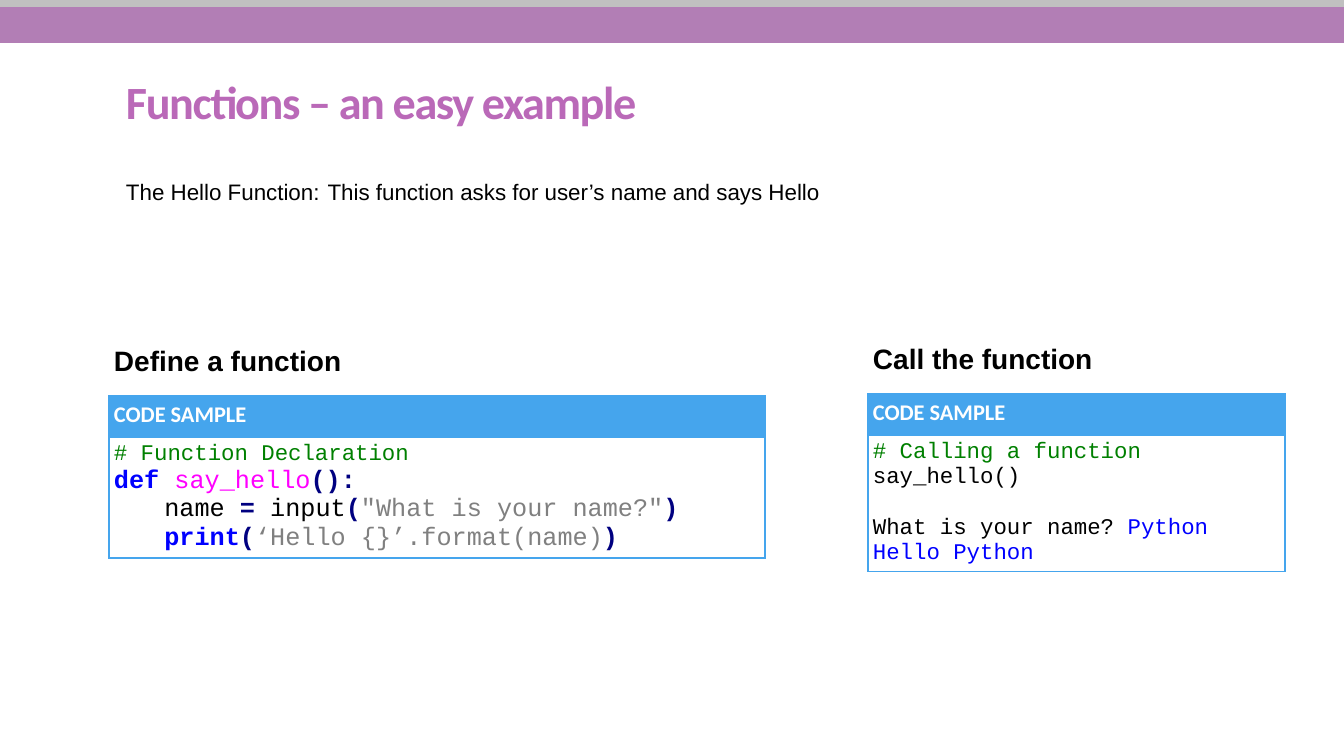
import dataclasses

import lxml.etree
import pptx
import pptx.dml.color
import pptx.enum.shapes
import pptx.enum.text
import pptx.oxml.ns
import pptx.util

RGBColor = pptx.dml.color.RGBColor
PURPLE_BAND = RGBColor(0xB2, 0x7E, 0xB5)
SILVER = RGBColor(0xC0, 0xC0, 0xC0)
ORCHID = RGBColor(0xBA, 0x69, 0xB8)
SKY = RGBColor(0x45, 0xA5, 0xED)
WHITE = RGBColor(0xFF, 0xFF, 0xFF)
BLACK = RGBColor(0x00, 0x00, 0x00)
GREEN = RGBColor(0x00, 0x80, 0x00)
BLUE = RGBColor(0x00, 0x00, 0xFF)
MAGENTA = RGBColor(0xFF, 0x00, 0xFF)
NAVY = RGBColor(0x00, 0x00, 0x80)
GREY = RGBColor(0x80, 0x80, 0x80)

PAGE_WIDTH, PAGE_HEIGHT = 1344, 756
EMU_PER_PX = 914400 / 100.8
INSET = 5
ROW_HEIGHT = 41


@dataclasses.dataclass(frozen=True)
class Span:
    text: str
    color: RGBColor = BLACK
    bold: bool = False


@dataclasses.dataclass(frozen=True)
class Line:
    spans: tuple[Span, ...]
    size: int = 16
    space_before: int = 0


@dataclasses.dataclass(frozen=True)
class Band:
    top: int
    height: int
    color: RGBColor


@dataclasses.dataclass(frozen=True)
class Label:
    text: str
    left: int
    top: int
    width: int
    height: int
    size: int
    bold: bool
    wrap: bool


@dataclasses.dataclass(frozen=True)
class CodeSample:
    left: int
    top: int
    width: int
    lines: tuple[Line, ...]


BANDS = (Band(6, 37, PURPLE_BAND), Band(0, 7, SILVER))

LABELS = (
    Label("Define a function", 109, 338, 239, 41, 20, True, False),
    Label("Call the function", 868, 336, 231, 41, 20, True, False),
    Label("The Hello Function: \tThis function asks for user’s name and says Hello",
          121, 173, 829, 34, 16, False, True),
)

SAMPLES = (
    CodeSample(109, 396, 656, (
        Line((Span("# Function Declaration", GREEN),)),
        Line((Span("def ", BLUE, True), Span("say_hello", MAGENTA), Span("():", NAVY, True)), 18),
        Line((Span("\tname "), Span("=", NAVY, True), Span(" input"), Span("(", NAVY, True),
              Span('"What is your name?"', GREY), Span(")", NAVY, True)), 18),
        Line((Span("\t"), Span("print", BLUE, True), Span("(", NAVY, True),
              Span("‘Hello {}’.format(name)", GREY), Span(")", NAVY, True)), 18),
    )),
    CodeSample(868, 394, 417, (
        Line((Span("# Calling a function", GREEN),)),
        Line((Span("say_hello()"),)),
        Line((Span("What is your name? "), Span("Python", BLUE)), space_before=18),
        Line((Span("Hello Python", BLUE),)),
    )),
)


def px(length: int) -> pptx.util.Emu:
    return pptx.util.Emu(round(length * EMU_PER_PX))


def set_insets(holder) -> None:
    """Give a text frame or a table cell equal margins."""
    holder.margin_left = holder.margin_right = px(INSET)
    holder.margin_top = holder.margin_bottom = px(INSET)


def add_span(para, span: Span, size: int, font_name: str):
    run = para.add_run()
    run.text = span.text
    run.font.name = font_name
    run.font.size = pptx.util.Pt(size)
    run.font.bold = span.bold
    run.font.color.rgb = span.color
    return run


def add_lines(frame, lines: tuple[Line, ...], font_name: str) -> None:
    for index, line in enumerate(lines):
        para = frame.paragraphs[0] if index == 0 else frame.add_paragraph()
        para.space_before = pptx.util.Pt(line.space_before)
        for span in line.spans:
            add_span(para, span, line.size, font_name)


def add_band(page, band: Band) -> None:
    shape = page.shapes.add_shape(pptx.enum.shapes.MSO_SHAPE.RECTANGLE,
                                  0, px(band.top), px(PAGE_WIDTH), px(band.height))
    shape.shadow.inherit = False
    shape.fill.solid()
    shape.fill.fore_color.rgb = band.color
    shape.line.fill.background()


def set_title(page, text: str) -> None:
    title = page.shapes.title
    title.left, title.top, title.width, title.height = px(121), px(45), px(1109), px(89)
    frame = title.text_frame
    set_insets(frame)
    frame.vertical_anchor = pptx.enum.text.MSO_ANCHOR.BOTTOM
    para = frame.paragraphs[0]
    para.alignment = pptx.enum.text.PP_ALIGN.LEFT
    para.line_spacing = 0.85
    run = add_span(para, Span(text, ORCHID, True), 33, "Calibri")
    run._r.get_or_add_rPr().set("spc", "-100")


def add_label(page, label: Label) -> None:
    box = page.shapes.add_textbox(px(label.left), px(label.top), px(label.width), px(label.height))
    frame = box.text_frame
    set_insets(frame)
    frame.word_wrap = label.wrap
    frame.auto_size = pptx.enum.text.MSO_AUTO_SIZE.SHAPE_TO_FIT_TEXT
    add_lines(frame, (Line((Span(label.text, bold=label.bold),), label.size),), "Arial")


def add_borders(cell) -> None:
    """Draw a one-point frame around a cell; borders precede the fill in its XML."""
    qn = pptx.oxml.ns.qn
    properties = cell._tc.get_or_add_tcPr()
    for index, side in enumerate(("lnL", "lnR", "lnT", "lnB")):
        border = lxml.etree.Element(qn(f"a:{side}"), w=str(pptx.util.Pt(1)))
        fill = lxml.etree.SubElement(border, qn("a:solidFill"))
        lxml.etree.SubElement(fill, qn("a:srgbClr"), val=str(SKY))
        properties.insert(index, border)


def add_code_sample(page, sample: CodeSample) -> None:
    table = page.shapes.add_table(2, 1, px(sample.left), px(sample.top),
                                  px(sample.width), px(2 * ROW_HEIGHT)).table
    table.first_row = table.horz_banding = False
    header, body = table.cell(0, 0), table.cell(1, 0)
    for cell in (header, body):
        set_insets(cell)
        add_borders(cell)
    header.fill.solid()
    header.fill.fore_color.rgb = SKY
    body.fill.background()
    add_lines(header.text_frame, (Line((Span("CODE SAMPLE", WHITE, True),)),), "Calibri")
    add_lines(body.text_frame, sample.lines, "Courier New")


def main() -> None:
    deck = pptx.Presentation()
    deck.slide_width, deck.slide_height = px(PAGE_WIDTH), px(PAGE_HEIGHT)
    page = deck.slides.add_slide(deck.slide_layouts.get_by_name("Title Only"))
    for band in BANDS:
        add_band(page, band)
    set_title(page, "Functions – an easy example")
    for sample in SAMPLES:
        add_code_sample(page, sample)
    for label in LABELS:
        add_label(page, label)
    deck.save("out.pptx")


if __name__ == "__main__":
    main()
